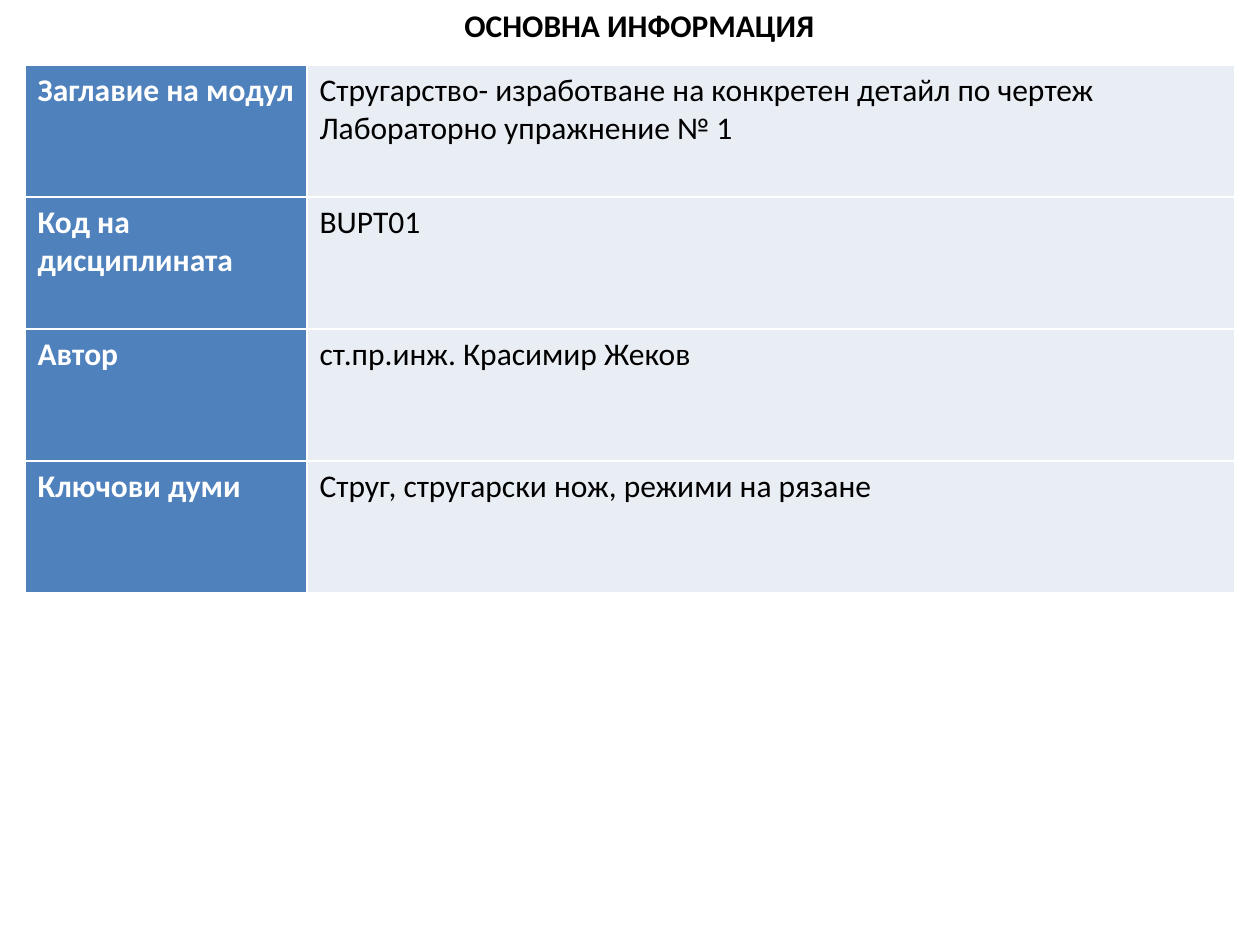
import dataclasses

import lxml.etree
import pptx
import pptx.dml.color
import pptx.enum.text
import pptx.oxml.ns
import pptx.util


@dataclasses.dataclass(frozen=True)
class Theme:
    font: str = "Calibri"
    size: int = 18
    border_width: int = 1
    ink: str = "000000"
    white: str = "FFFFFF"
    label_fill: str = "4F81BD"
    value_fill: str = "E9EDF4"


THEME = Theme()
PX_PER_INCH = 126


def px(length):
    return pptx.util.Inches(length / PX_PER_INCH)


def style_text(text_frame, color, bold):
    for paragraph in text_frame.paragraphs:
        for run in paragraph.runs:
            run.font.name = THEME.font
            run.font.size = pptx.util.Pt(THEME.size)
            run.font.bold = bold
            run.font.color.rgb = pptx.dml.color.RGBColor.from_string(color)


presentation = pptx.Presentation()
presentation.slide_width = px(1260)
presentation.slide_height = px(945)
slide = presentation.slides.add_slide(presentation.slide_layouts[5])

# Heading
heading = slide.shapes.title
heading.left, heading.top, heading.width, heading.height = px(450), px(0), px(379), px(50)
heading.text_frame.text = "ОСНОВНА ИНФОРМАЦИЯ"
heading.text_frame.word_wrap = False
heading.text_frame.auto_size = pptx.enum.text.MSO_AUTO_SIZE.SHAPE_TO_FIT_TEXT
heading.text_frame.vertical_anchor = pptx.enum.text.MSO_ANCHOR.TOP
heading.text_frame.paragraphs[0].alignment = pptx.enum.text.PP_ALIGN.CENTER
style_text(heading.text_frame, THEME.ink, True)

# Module details: label on the left, value on the right
details = [
    ("Заглавие на модул",
     "Стругарство- изработване на конкретен детайл по чертеж\nЛабораторно упражнение № 1"),
    ("Код на дисциплината", "BUPT01"),
    ("Автор", "ст.пр.инж. Красимир Жеков"),
    ("Ключови думи", "Струг, стругарски нож, режими на рязане"),
]
column_widths = [282, 928]
row_height = 132
column_styles = [
    (THEME.label_fill, THEME.white, True),
    (THEME.value_fill, THEME.ink, False),
]

module_table = slide.shapes.add_table(
    len(details), len(column_widths), px(25), px(65),
    px(sum(column_widths)), px(row_height * len(details)),
).table
module_table.first_row = False
module_table.horz_banding = False
for column, width in zip(module_table.columns, column_widths):
    column.width = px(width)

for row, texts in zip(module_table.rows, details):
    row.height = px(row_height)
    for cell, text, (fill, color, bold) in zip(row.cells, texts, column_styles):
        cell.text_frame.text = text
        style_text(cell.text_frame, color, bold)
        cell.fill.solid()
        cell.fill.fore_color.rgb = pptx.dml.color.RGBColor.from_string(fill)

        # Borders come before the fill in the cell properties
        properties = cell._tc.get_or_add_tcPr()
        for position, side in enumerate(("lnL", "lnR", "lnT", "lnB")):
            border = lxml.etree.Element(
                pptx.oxml.ns.qn(f"a:{side}"), w=str(pptx.util.Pt(THEME.border_width)))
            solid = lxml.etree.SubElement(border, pptx.oxml.ns.qn("a:solidFill"))
            lxml.etree.SubElement(solid, pptx.oxml.ns.qn("a:srgbClr"), val=THEME.white)
            properties.insert(position, border)

presentation.save("out.pptx")
